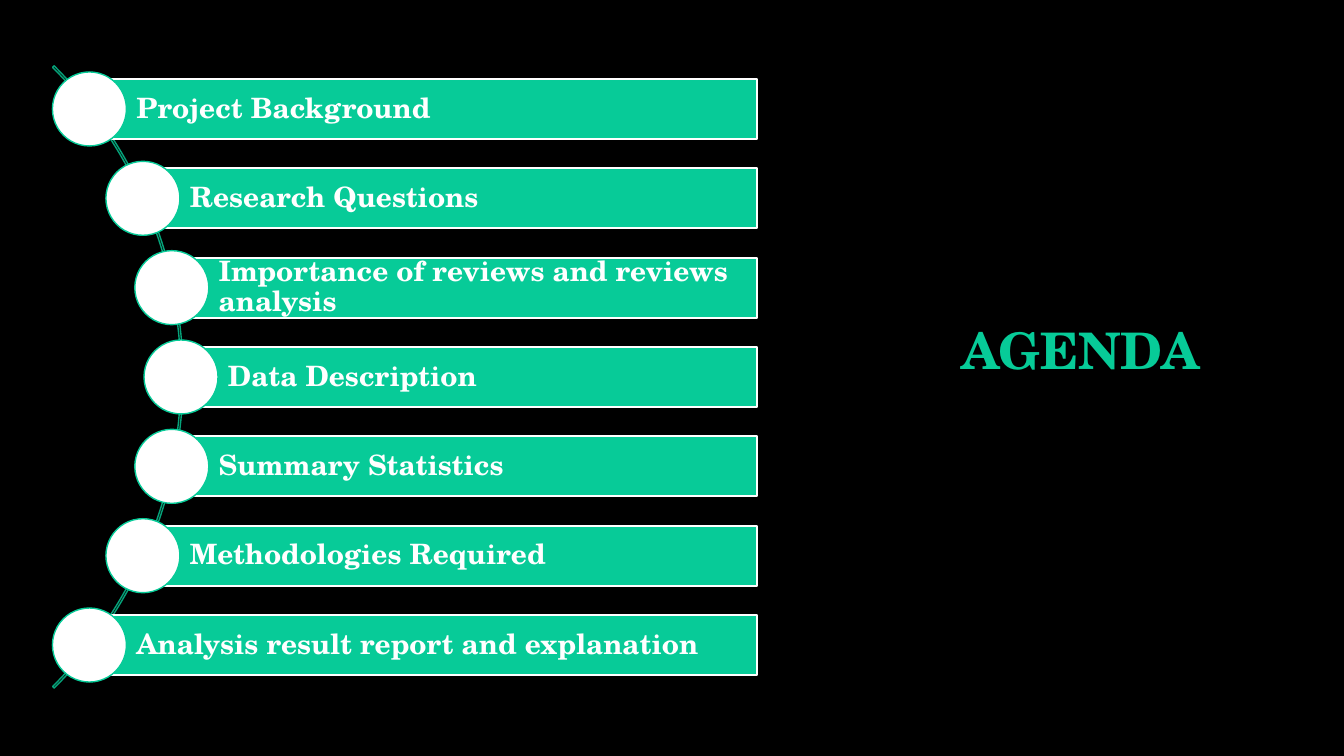
from dataclasses import dataclass
from math import sqrt
from pptx import Presentation
from pptx.dml.color import RGBColor
from pptx.enum.shapes import MSO_SHAPE
from pptx.enum.text import MSO_ANCHOR, PP_ALIGN
from pptx.util import Pt

SCALE = 914400 / 100.8


@dataclass(frozen=True)
class Theme:
    back: str = "000000"
    green: str = "07CB98"
    dark: str = "06A37A"
    white: str = "FFFFFF"
    font: str = "TeX Gyre Schola"
    head: int = 36
    body: int = 20


THEME = Theme()
TOPICS = [
    "Project Background",
    "Research Questions",
    "Importance of reviews and reviews analysis",
    "Data Description",
    "Summary Statistics",
    "Methodologies Required",
    "Analysis result report and explanation",
]


def px(n):
    return round(n * SCALE)


def color(code):
    return RGBColor.from_string(code)


def draw(slide, kind, box, fill, line, width):
    shape = slide.shapes.add_shape(kind, *map(px, box))
    shape.shadow.inherit = False
    if fill:
        shape.fill.solid()
        shape.fill.fore_color.rgb = color(fill)
    else:
        shape.fill.background()
    shape.line.color.rgb = color(line)
    shape.line.width = Pt(width)
    return shape


def write(shape, text, size, ink, pads):
    frame = shape.text_frame
    left, top, right, low = map(px, pads)
    form = {
        "word_wrap": True, "vertical_anchor": MSO_ANCHOR.MIDDLE,
        "margin_left": left, "margin_top": top,
        "margin_right": right, "margin_bottom": low,
    }
    for key, value in form.items():
        setattr(frame, key, value)
    para = frame.paragraphs[0]
    para.alignment = PP_ALIGN.LEFT
    para.line_spacing = 0.9
    run = para.add_run()
    run.text = text
    for key, value in {"name": THEME.font, "size": Pt(size), "bold": True}.items():
        setattr(run.font, key, value)
    run.font.color.rgb = color(ink)


def add_title(slide, box):
    label = slide.shapes.add_textbox(*map(px, box))
    write(label, "AGENDA", THEME.head, THEME.green, (82, 5, 10, 5))


def add_topics(slide, box):
    left, top, width, height = box
    right, mid = left + width, top + height / 2
    dot, bar = 74, 60
    step = (height - dot) / (len(TOPICS) - 1)

    # Thin arc, whose circle is centred left of the slide
    hub, radius = left - 308, 440
    arc = draw(slide, MSO_SHAPE.BLOCK_ARC,
               (hub - radius, mid - radius, 2 * radius, 2 * radius),
               None, THEME.dark, 1)
    for i, value in enumerate((189, 27, 0.0025)):
        arc.adjustments[i] = value

    # Bars start at the dots, which sit on the arc
    for i, topic in enumerate(TOPICS):
        y = top + dot / 2 + i * step
        x = hub + sqrt((radius - 2) ** 2 - (y - mid) ** 2)
        strip = draw(slide, MSO_SHAPE.RECTANGLE,
                     (x, y - bar / 2, right - x, bar),
                     THEME.green, THEME.white, 1.5)
        write(strip, topic, THEME.body, THEME.white, (47, 6, 6, 6))
        draw(slide, MSO_SHAPE.OVAL, (x - dot / 2, y - dot / 2, dot, dot),
             THEME.white, THEME.green, 1)


def main():
    deck = Presentation()
    deck.slide_width, deck.slide_height = px(1344), px(756)
    slide = deck.slides.add_slide(deck.slide_layouts[6])
    slide.background.fill.solid()
    slide.background.fill.fore_color.rgb = color(THEME.back)
    add_title(slide, (880, 268, 397, 171))
    add_topics(slide, (51, 72, 706, 610))
    deck.save("out.pptx")


if __name__ == "__main__":
    main()
